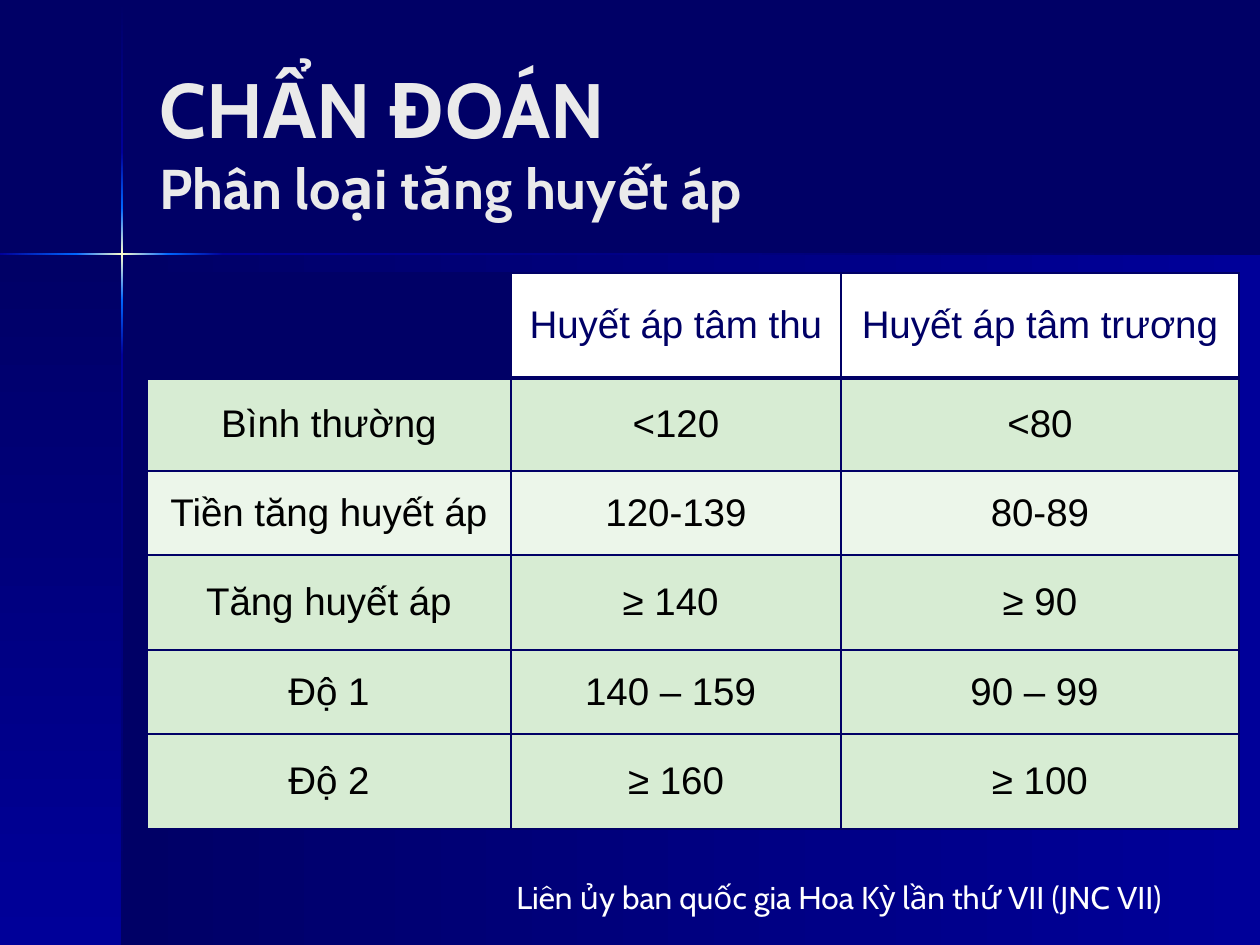
from dataclasses import dataclass

from lxml import etree
from pptx import Presentation
from pptx.dml.color import RGBColor
from pptx.enum import shapes, text
from pptx.oxml import ns
from pptx.util import Emu, Pt

SCALE = 914400 / 126


@dataclass(frozen=True)
class Theme:
    navy: str = "000066"
    blue: str = "000099"
    bright: str = "0066FF"
    glow: str = "FFFFCC"
    heading: str = "EAEAEA"
    white: str = "FFFFFF"
    black: str = "000000"
    green: str = "D7ECD3"
    pale: str = "ECF6EA"
    display: str = "Cabin"
    body: str = "Arial"
    title_size: int = 44
    subtitle_size: int = 32
    cell_size: int = 22
    source_size: int = 18


T = Theme()

ROWS = [
    ("", "Huyết áp tâm thu", "Huyết áp tâm trương"),
    ("Bình thường", "<120", "<80"),
    ("Tiền tăng huyết áp", "120-139", "80-89"),
    ("Tăng huyết áp", "≥ 140 ", "≥ 90"),
    ("Độ 1", "140 – 159 ", "90 – 99 "),
    ("Độ 2", "≥ 160", "≥ 100"),
]
ROW_FILLS = [T.white, T.green, T.pale, T.green, T.green, T.green]
COL_WIDTHS = [364, 330, 398]
ROW_HEIGHTS = [105, 93, 84, 95, 84, 95]


def px(n):
    return Emu(round(n * SCALE))


def box(*lengths):
    return [px(n) for n in lengths]


def rgb(color):
    return RGBColor.from_string(color)


def add_color(parent, color):
    etree.SubElement(parent, ns.qn("a:srgbClr"), val=color)


def add_gradient(slide, rect, colors, vertical):
    sp = slide.shapes.add_shape(shapes.MSO_SHAPE.RECTANGLE, *box(*rect))
    sp.shadow.inherit = False
    sp.line.fill.background()
    sp.fill.gradient()
    sp.fill.gradient_angle = 270 if vertical else 0
    stops = next(sp._element.spPr.iter(ns.qn("a:gsLst")))
    for stop in list(stops):
        stops.remove(stop)
    for i, color in enumerate(colors):
        pos = 100000 * i // (len(colors) - 1)
        add_color(etree.SubElement(stops, ns.qn("a:gs"), pos=str(pos)), color)


def add_backdrop(slide):
    fade = (T.navy, T.blue)
    rise = (T.blue, T.bright)
    flare = (T.bright, T.glow, T.bright)
    ray = [fade, rise, flare, rise[::-1], fade[::-1]]
    add_gradient(slide, (122, 254, 1138, 691), fade, False)
    add_gradient(slide, (0, 254, 122, 691), fade, True)
    ys = [1, 152, 208, 300, 355, 945]
    for top, bottom, colors in zip(ys, ys[1:], ray):
        add_gradient(slide, (121, top, 2, bottom - top), colors, True)
    xs = [0, 76, 168, 223, 1260]
    for left, right, colors in zip(xs, xs[1:], ray[1:]):
        add_gradient(slide, (left, 253, right - left, 2), colors, False)


def add_run(p, words, size, color, font, bold=False):
    r = p.add_run()
    r.text = words
    r.font.size = Pt(size)
    r.font.color.rgb = rgb(color)
    r.font.name = font
    r.font.bold = bold


def add_text_box(slide, rect, anchor):
    tf = slide.shapes.add_textbox(*box(*rect)).text_frame
    tf.word_wrap = True
    tf.vertical_anchor = anchor
    return tf


def add_title(slide):
    tf = add_text_box(slide, (147, 42, 1040, 198), text.MSO_ANCHOR.MIDDLE)
    p = tf.paragraphs[0]
    add_run(p, "CHẨN ĐOÁN", T.title_size, T.heading, T.display, True)
    p.add_line_break()
    add_run(p, "Phân loại tăng huyết áp", T.subtitle_size, T.heading, T.display, True)


def add_source(slide):
    tf = add_text_box(slide, (504, 872, 756, 50), text.MSO_ANCHOR.TOP)
    tf.auto_size = text.MSO_AUTO_SIZE.SHAPE_TO_FIT_TEXT
    add_run(tf.paragraphs[0], "Liên ủy ban quốc gia Hoa Kỳ lần thứ VII (JNC VII)",
            T.source_size, T.white, T.display)


def set_borders(cell, row):
    widths = {"L": 1, "R": 1, "T": 3 if row == 1 else 1, "B": 3 if row == 0 else 1}
    tc_pr = cell._tc.get_or_add_tcPr()
    for side, width in widths.items():
        ln = etree.SubElement(tc_pr, ns.qn(f"a:ln{side}"), w=str(Pt(width)))
        add_color(etree.SubElement(ln, ns.qn("a:solidFill")), T.navy)


def fill_cell(cell, words, row):
    set_borders(cell, row)
    cell.fill.solid()
    cell.fill.fore_color.rgb = rgb(ROW_FILLS[row] if words else T.navy)
    cell.vertical_anchor = text.MSO_ANCHOR.MIDDLE
    if words:
        p = cell.text_frame.paragraphs[0]
        p.alignment = text.PP_ALIGN.CENTER
        color = T.navy if row == 0 else T.black
        add_run(p, words, T.cell_size, color, T.body)


def add_pressure_table(slide):
    rect = box(147, 273, sum(COL_WIDTHS), sum(ROW_HEIGHTS))
    table = slide.shapes.add_table(len(ROWS), len(COL_WIDTHS), *rect).table
    table.horz_banding = False
    for column, width in zip(table.columns, COL_WIDTHS):
        column.width = px(width)
    for i, (row, height) in enumerate(zip(table.rows, ROW_HEIGHTS)):
        row.height = px(height)
        for cell, words in zip(row.cells, ROWS[i]):
            fill_cell(cell, words, i)


def main():
    prs = Presentation()
    prs.slide_width, prs.slide_height = box(1260, 945)
    slide = prs.slides.add_slide(prs.slide_layouts[6])
    slide.background.fill.solid()
    slide.background.fill.fore_color.rgb = rgb(T.navy)
    add_backdrop(slide)
    add_title(slide)
    add_pressure_table(slide)
    add_source(slide)
    prs.save("out.pptx")


if __name__ == "__main__":
    main()
